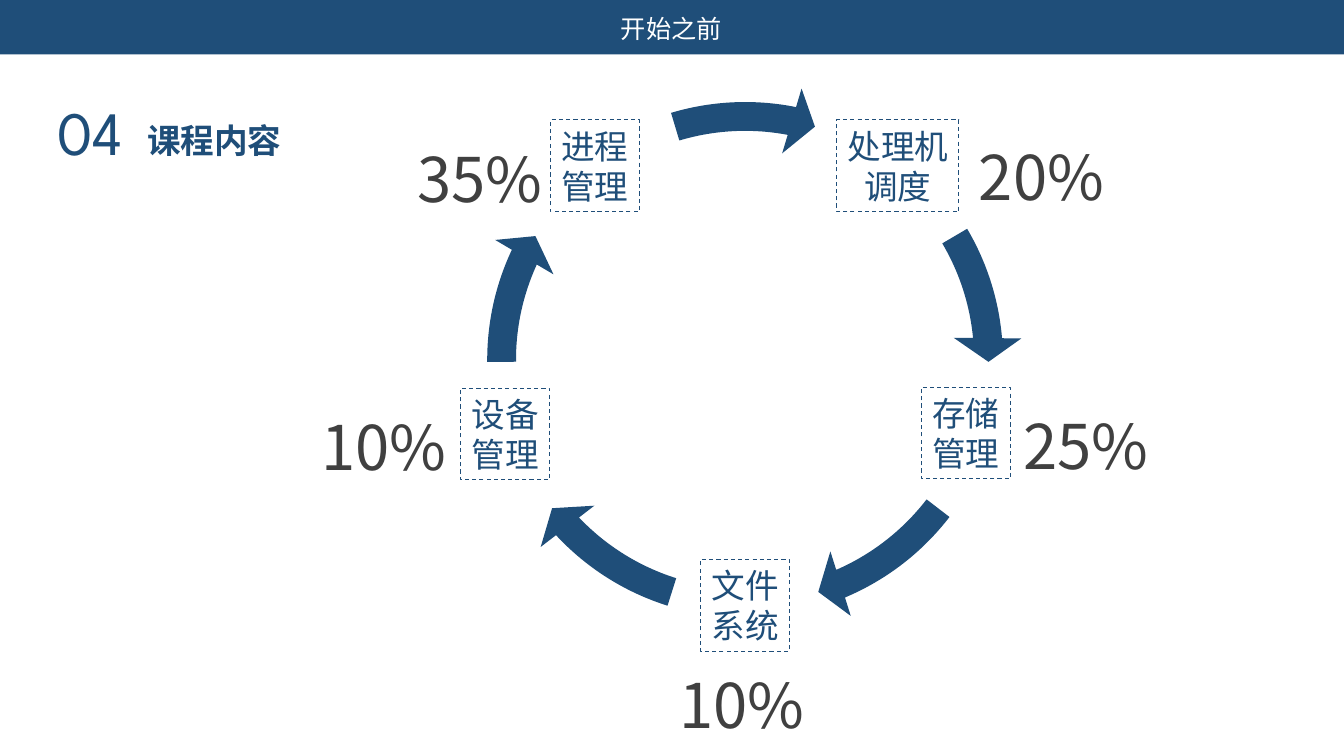
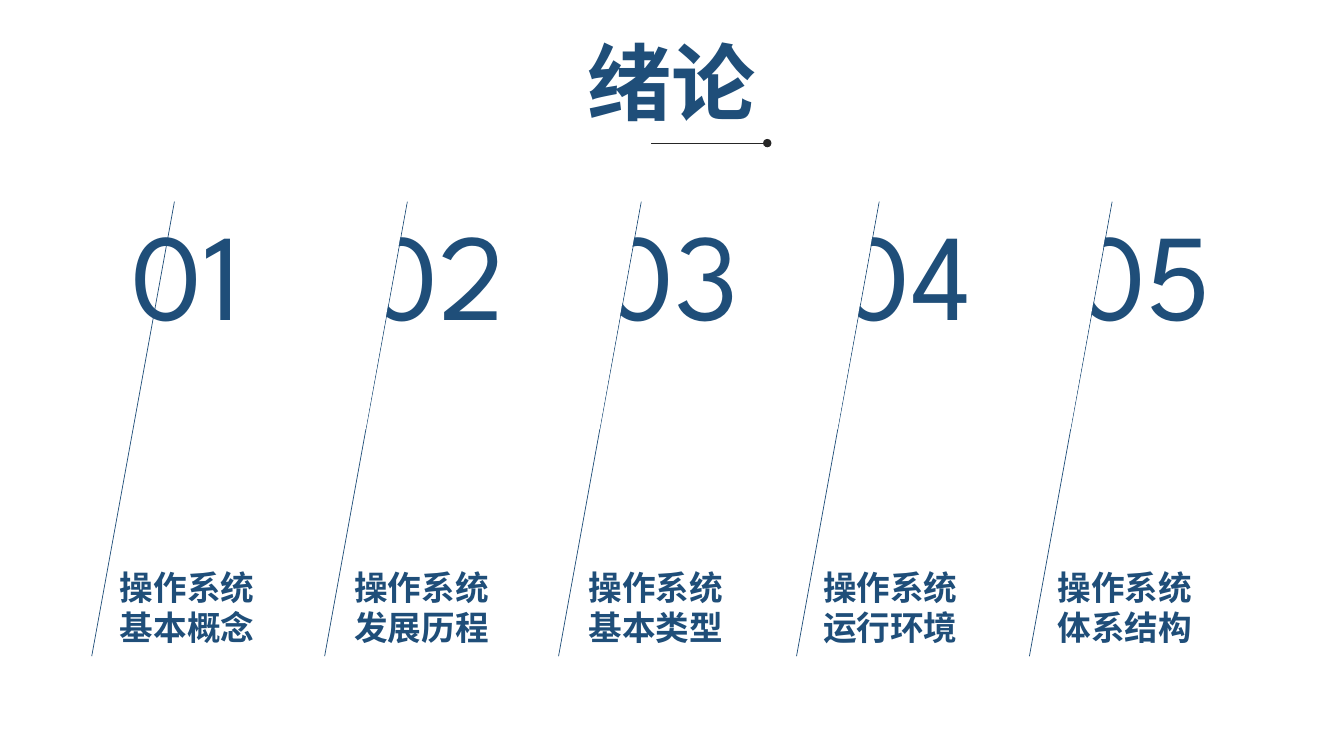
"""Build two slides of an operating systems course: the content cycle and the introduction outline."""
from lxml import etree
from pptx import Presentation
from pptx.dml.color import RGBColor
from pptx.enum.dml import MSO_LINE
from pptx.enum.shapes import MSO_CONNECTOR, MSO_SHAPE
from pptx.enum.text import MSO_AUTO_SIZE, PP_ALIGN
from pptx.oxml.ns import qn
from pptx.util import Inches, Pt

RECTANGLE = MSO_SHAPE.RECTANGLE
CIRCULAR_ARROW = MSO_SHAPE.CIRCULAR_ARROW
STRAIGHT = MSO_CONNECTOR.STRAIGHT
DASH = MSO_LINE.DASH
GROW = MSO_AUTO_SIZE.SHAPE_TO_FIT_TEXT
LEFT, CENTER, RIGHT = PP_ALIGN.LEFT, PP_ALIGN.CENTER, PP_ALIGN.RIGHT

NAVY, WHITE, GRAY, BLACK = "1F4E79", "FFFFFF", "404040", "262626"
DISPLAY_FONT, CJK_FONT = "League Spartan", "Noto Sans CJK SC"


def paint(shape, color):
    """Give a shape a plain fill without outline or shadow."""
    shape.shadow.inherit = False
    shape.fill.solid()
    shape.fill.fore_color.rgb = RGBColor.from_string(color)
    shape.line.fill.background()


def write(box, text, size, color=NAVY, bold=False, align=LEFT, wrap=False,
          font=DISPLAY_FONT, spacing=None):
    """Fill a box with text, one paragraph a line, in one style."""
    frame = box.text_frame
    frame.text = text
    frame.word_wrap = wrap
    frame.auto_size = GROW
    for para in frame.paragraphs:
        para.alignment = align
        if spacing:
            para.line_spacing = spacing
        for span in para.runs:
            span.font.size = Pt(size)
            span.font.bold = bold
            span.font.color.rgb = RGBColor.from_string(color)
            span.font.name = font
            east_asian = etree.SubElement(span.font._element, qn("a:ea"))
            east_asian.set("typeface", CJK_FONT)


deck = Presentation()
deck.slide_width, deck.slide_height = Inches(13.33), Inches(7.5)
blank = deck.slide_layouts[6]

page = deck.slides.add_slide(blank)
band = page.shapes.add_shape(RECTANGLE, 0, 0, deck.slide_width, Inches(0.54))
paint(band, NAVY)
box = page.shapes.add_textbox(Inches(6.06), Inches(0.08), Inches(1.21), Inches(0.4))
write(box, "开始之前", 18, WHITE)

arrow_angles = [(212.93, 197.67), (40.14, 22.54), (82.1, 64.5), (122.97, 107.71), (168.65, 151.99)]
for end_angle, start_angle in arrow_angles:
    arrow = page.shapes.add_shape(CIRCULAR_ARROW, Inches(4.64), Inches(0.82), Inches(5.5), Inches(5.5))
    for index, value in enumerate((0.052, 3.36, end_angle, start_angle, 0.061)):
        arrow.adjustments[index] = value
    paint(arrow, NAVY)

topics = [
    ("处理机\n调度", 8.3, 1.19, 1.21, "20%", 9.58, 1.18),
    ("存储\n管理", 9.14, 3.84, 0.88, "25%", 10.02, 3.85),
    ("文件\n系统", 6.95, 5.55, 0.88, "10%", 6.61, 6.42),
    ("设备\n管理", 4.57, 3.85, 0.88, "10%", 3.06, 3.86),
    ("进程\n管理", 5.46, 1.19, 0.88, "35%", 4.01, 1.2),
]
for topic, left, top, width, share, share_left, share_top in topics:
    label = page.shapes.add_shape(RECTANGLE, Inches(left), Inches(top), Inches(width), Inches(0.91))
    label.shadow.inherit = False
    label.fill.background()
    label.line.color.rgb = RGBColor.from_string(NAVY)
    label.line.width = Pt(0.75)
    label.line.dash_style = DASH
    write(label, topic, 24, align=CENTER)
    box = page.shapes.add_textbox(Inches(share_left), Inches(share_top), Inches(1.47), Inches(0.91))
    write(box, share, 44, GRAY, align=RIGHT, wrap=True, font=CJK_FONT, spacing=1.2)

box = page.shapes.add_textbox(Inches(0.47), Inches(0.88), Inches(0.89), Inches(0.84))
write(box, "04", 44)
box = page.shapes.add_textbox(Inches(1.36), Inches(1.02), Inches(1.55), Inches(0.57))
write(box, "课程内容", 24, bold=True, spacing=1.3)

page = deck.slides.add_slide(blank)
chapters = ["基本概念", "发展历程", "基本类型", "运行环境", "体系结构"]
slant_tops = [1.73, 4.04, 6.36, 8.72, 11.03]

for index in range(len(chapters)):
    box = page.shapes.add_textbox(Inches(1.21 + 2.34 * index), Inches(1.91), Inches(1.57), Inches(1.58))
    write(box, f"{index + 1:02d}", 88)

lines = [(x, 2, x - 0.82, 6.51, NAVY, "none") for x in slant_tops]
lines.append((5.72, 1.42, 7.61, 1.42, BLACK, "oval"))
for start_x, start_y, end_x, end_y, color, cap in lines:
    line = page.shapes.add_connector(STRAIGHT, Inches(start_x), Inches(start_y), Inches(end_x), Inches(end_y))
    line.line.color.rgb = RGBColor.from_string(color)
    line.line.width = Pt(0.5)
    for end in ("a:headEnd", "a:tailEnd"):
        etree.SubElement(line.line._get_or_add_ln(), qn(end)).set("type", cap)
    etree.SubElement(line._element.spPr, qn("a:effectLst"))

for x in slant_tops[1:]:
    mask = page.shapes.add_shape(RECTANGLE, Inches(x - 0.94), Inches(1.31), Inches(0.79), Inches(2.9))
    mask.rotation = 10.2
    paint(mask, WHITE)

for index, chapter in enumerate(chapters):
    box = page.shapes.add_textbox(Inches(1.09 + 9.3 / 4 * index), Inches(5.57), Inches(1.55), Inches(0.91))
    write(box, f"操作系统\n{chapter}", 24, bold=True)

box = page.shapes.add_textbox(0, Inches(0.25), deck.slide_width, Inches(1.11))
write(box, "绪论", 60, bold=True, align=CENTER, wrap=True)

deck.save("out.pptx")
